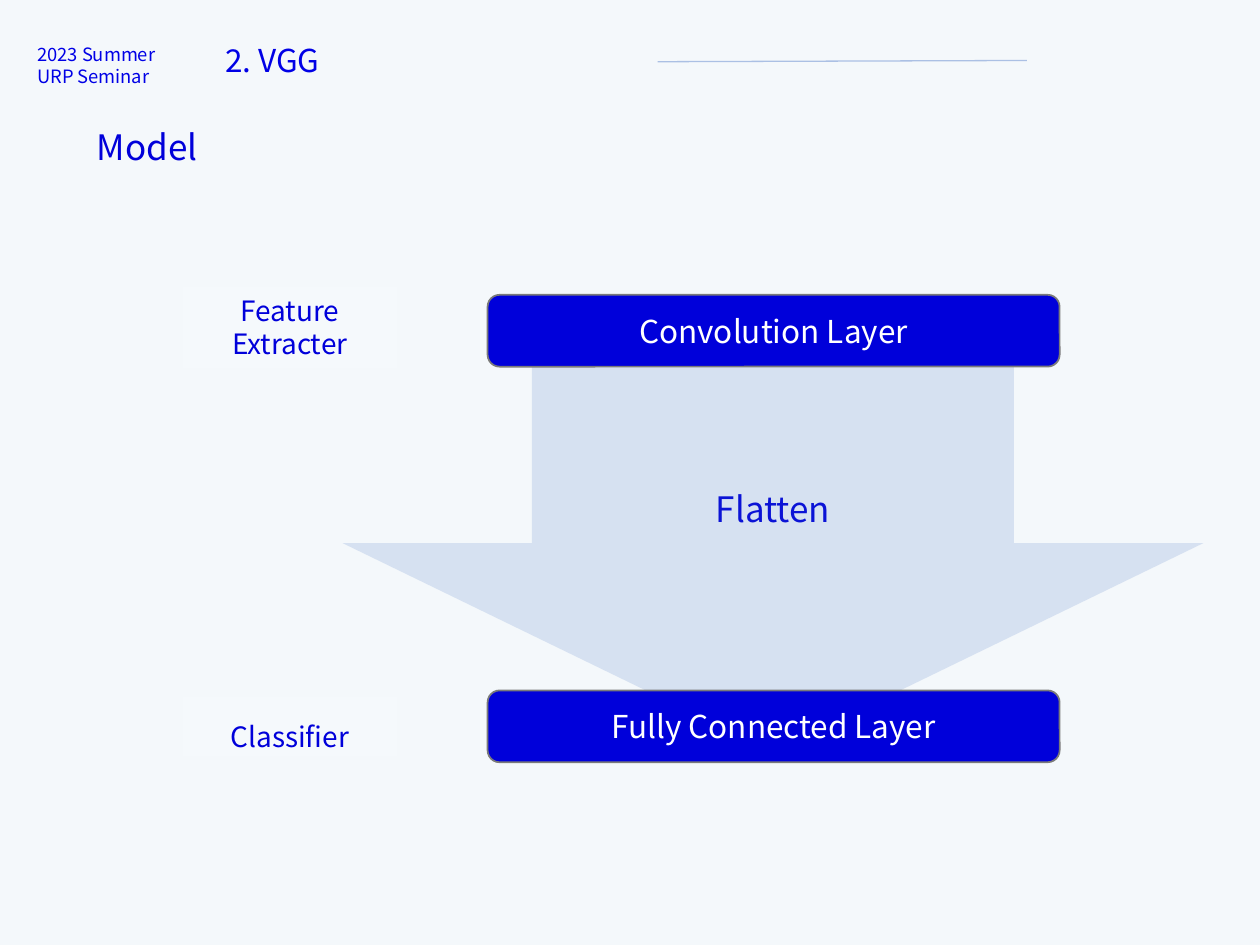
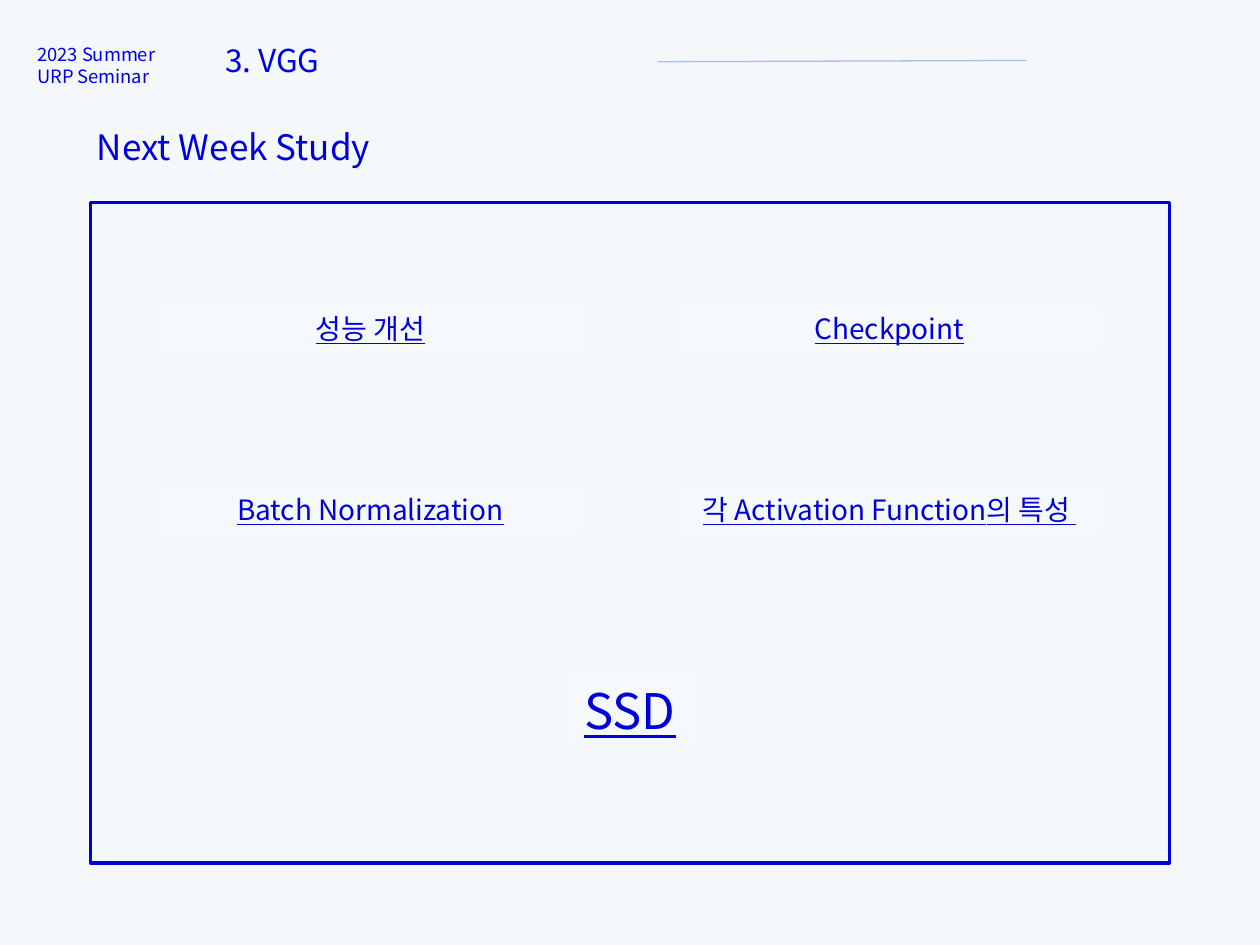
from lxml import etree
from pptx import Presentation
from pptx.dml.color import RGBColor
from pptx.enum.shapes import MSO_CONNECTOR, MSO_SHAPE
from pptx.enum.text import MSO_ANCHOR, MSO_AUTO_SIZE, PP_ALIGN
from pptx.oxml.ns import qn
from pptx.util import Inches, Pt

LINE = MSO_CONNECTOR.STRAIGHT
RECT, ROUND = MSO_SHAPE.RECTANGLE, MSO_SHAPE.ROUNDED_RECTANGLE
ARROW = MSO_SHAPE.DOWN_ARROW
TOP, MIDDLE = MSO_ANCHOR.TOP, MSO_ANCHOR.MIDDLE
LEFT, CENTER = PP_ALIGN.LEFT, PP_ALIGN.CENTER
GROW = MSO_AUTO_SIZE.SHAPE_TO_FIT_TEXT

UNIT = Inches(0.1)  # the grid has 100 columns and 75 rows
COLS, ROWS = 100, 75
FONT = "Noto Sans CJK KR"
INK, HEAD, WHITE = "0000DA", "0000E6", "FFFFFF"
PAPER, PANEL = "F4F8FB", "F5F9FC"
RULE, EDGE, TINT = "ABC0E4", "7A7A7A", "4472C4"


def color(value):
    return RGBColor.from_string(value)


def grid(*cells):
    return [round(cell * UNIT) for cell in cells]


def write(shape, text, size, ink=INK, align=CENTER, anchor=TOP,
          spacing=None, underline=None):
    frame = shape.text_frame
    frame.word_wrap = True
    frame.vertical_anchor = anchor
    if anchor == TOP:
        frame.auto_size = GROW
    frame.text = text
    for para in frame.paragraphs:
        para.alignment, para.line_spacing = align, spacing
        for run in para.runs:
            style = {"name": FONT, "size": Pt(size), "underline": underline}
            for key, value in style.items():
                setattr(run.font, key, value)
            run.font.color.rgb = color(ink)
            latin = run.font._element.find(qn("a:latin"))
            asian = etree.Element(qn("a:ea"), typeface=FONT)
            latin.addnext(asian)


def label(slide, box, text, size, **style):
    write(slide.shapes.add_textbox(*grid(*box)), text, size, **style)


def block(slide, kind, box, fill=None, edge=None, width=1):
    shape = slide.shapes.add_shape(kind, *grid(*box))
    shape.shadow.inherit = False
    if fill:
        shape.fill.solid()
        shape.fill.fore_color.rgb = color(fill)
    else:
        shape.fill.background()
    if edge:
        shape.line.color.rgb = color(edge)
        shape.line.width = Pt(width)
    else:
        shape.line.fill.background()
    return shape


def panel(slide, box, text, size=16, **style):
    write(block(slide, RECT, box, PANEL), text, size, **style)


def layer(slide, top, text):
    bar = block(slide, ROUND, (38.7, top, 45.4, 5.7), INK, EDGE)
    write(bar, text, 18, WHITE, anchor=MIDDLE)


def fade(shape, percent):
    """Set the opacity of a solid fill."""
    tone = shape._element.spPr.find(qn("a:solidFill"))[0]
    etree.SubElement(tone, qn("a:alpha"), val=str(percent * 1000))


def rule(slide, *ends):
    line = slide.shapes.add_connector(LINE, *grid(*ends))
    line.line.color.rgb = color(RULE)
    line.line.width = Pt(0.75)
    etree.SubElement(line._element.spPr, qn("a:effectLst"))


def page(deck, head, title):
    """Add a slide with the shared header and its title."""
    slide = deck.slides.add_slide(deck.slide_layouts[6])
    slide.background.fill.solid()
    slide.background.fill.fore_color.rgb = color(PAPER)
    label(slide, (16.9, 2.8, 35.3, 4), head, 18, ink=HEAD, align=LEFT)
    label(slide, (2, 2.9, 12, 4.5), "2023 Summer\nURP Seminar", 10.5,
          ink=HEAD, align=LEFT)
    rule(slide, 52.2, 4.9, 81.5, 4.8)
    label(slide, (6.7, 9.5, 40.3, 4.4), title, 20, align=LEFT)
    return slide


def model(deck):
    slide = page(deck, "2. VGG", "Model")
    label(slide, (20.9, 38.2, 80.9, 4.4), "Flatten", 20)
    flow = block(slide, ARROW, (27.2, 27.8, 68.3, 31.9), TINT)
    flow.adjustments[0], flow.adjustments[1] = 0.56, 0.52
    fade(flow, 17)
    layer(slide, 54.8, "Fully Connected Layer")
    layer(slide, 23.4, "Convolution Layer")
    panel(slide, (14.5, 22.8, 17, 6.4), "Feature Extracter")
    panel(slide, (14.5, 55.3, 17, 4.7), "Classifier", spacing=1.5)


def study(deck):
    slide = page(deck, "3. VGG", "Next Week Study")
    block(slide, RECT, (7.2, 16.1, 85.6, 52.4), edge=INK, width=1.75)
    topics = [["성능 개선", "Checkpoint"],
              ["Batch Normalization", "각 Activation Function의 특성 "]]
    for row, pair in enumerate(topics):
        for col, topic in enumerate(pair):
            box = (12.7 + col * 41.2, 24.2 + row * 14.4, 33.4, 3.7)
            panel(slide, box, topic, underline=True)
    wide = 10.2
    panel(slide, ((COLS - wide) / 2, 53.5, wide, 5.7), "SSD", 28,
          underline=True)


def main():
    deck = Presentation()
    deck.slide_width, deck.slide_height = grid(COLS, ROWS)
    model(deck)
    study(deck)
    deck.save("out.pptx")


if __name__ == "__main__":
    main()
